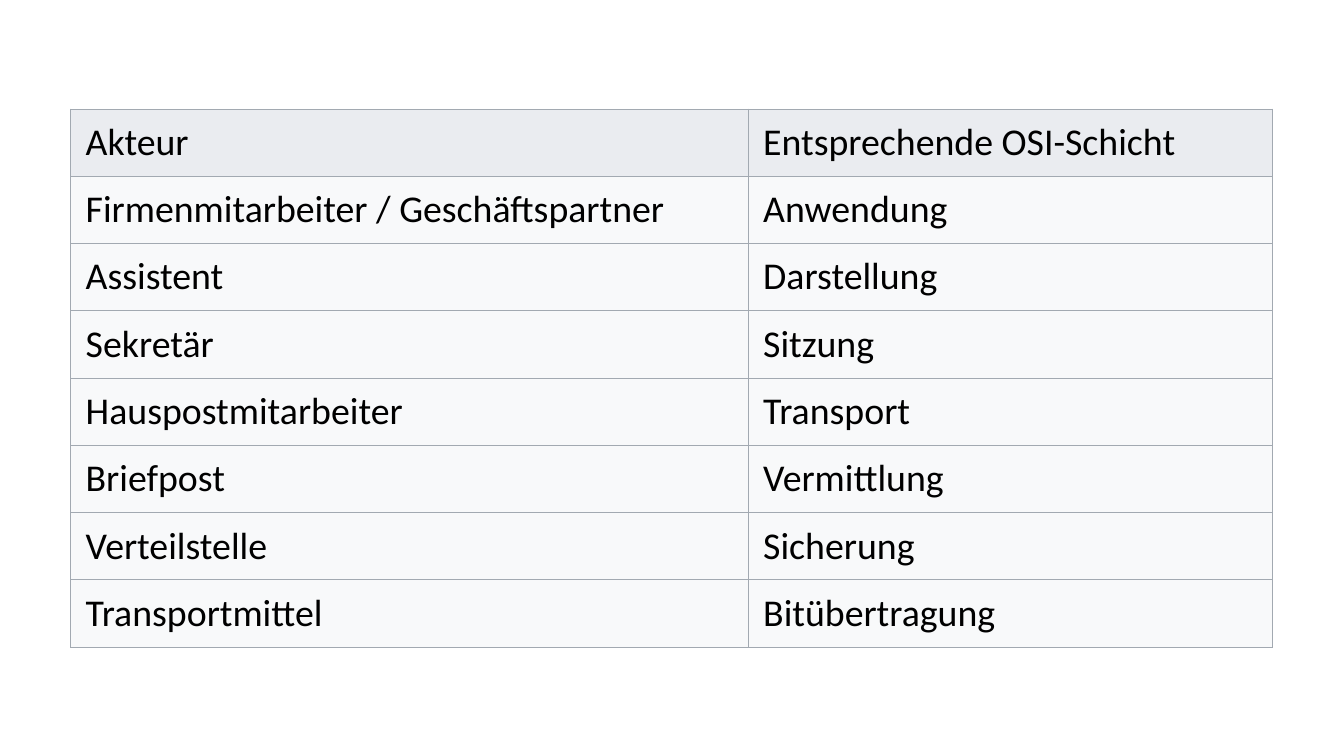
from dataclasses import dataclass

from lxml.etree import SubElement
from pptx import Presentation
from pptx.dml.color import RGBColor
from pptx.enum.text import MSO_ANCHOR as Anchor
from pptx.oxml.ns import qn
from pptx.slide import Slide
from pptx.table import _Cell as Cell
from pptx.util import Inches, Pt

COLORS = {"text": "000000", "header": "EAECF0", "body": "F8F9FA", "border": "A2A9B1"}
FONT = "Calibri"
SLIDE_WIDTH, SLIDE_HEIGHT = 13.33, 7.5
TABLE_LEFT, TABLE_TOP = 0.7, 1.08
TABLE_HEIGHT = 5.34
COLUMN_WIDTHS = (6.72, 5.2)
INSET_X, INSET_Y = 0.15, 0.08
BORDER_WIDTH = 0.5


@dataclass(frozen=True)
class LayerMatch:
    actor: str
    osi_layer: str


MATCHES = (
    LayerMatch("Akteur", "Entsprechende OSI-Schicht"),
    LayerMatch("Firmenmitarbeiter / Geschäftspartner", "Anwendung"),
    LayerMatch("Assistent", "Darstellung"),
    LayerMatch("Sekretär", "Sitzung"),
    LayerMatch("Hauspostmitarbeiter", "Transport"),
    LayerMatch("Briefpost", "Vermittlung"),
    LayerMatch("Verteilstelle", "Sicherung"),
    LayerMatch("Transportmittel", "Bitübertragung"),
)


def write_text(cell: Cell, text: str, *, size: float = 27, color: str = "text",
               bold: bool = False) -> None:
    run = cell.text_frame.paragraphs[0].add_run()
    run.text = text
    run.font.name = FONT
    run.font.size = Pt(size)
    run.font.bold = bold
    run.font.color.rgb = RGBColor.from_string(COLORS[color])


def draw_borders(cell: Cell) -> None:
    properties = cell._tc.get_or_add_tcPr()
    for side in ("lnL", "lnR", "lnT", "lnB"):
        line = SubElement(properties, qn(f"a:{side}"), w=str(Pt(BORDER_WIDTH)))
        fill = SubElement(line, qn("a:solidFill"))
        SubElement(fill, qn("a:srgbClr"), val=COLORS["border"])


def draw_cell(cell: Cell, text: str, fill: str) -> None:
    cell.margin_left = cell.margin_right = Inches(INSET_X)
    cell.margin_top = cell.margin_bottom = Inches(INSET_Y)
    cell.vertical_anchor = Anchor.MIDDLE
    draw_borders(cell)
    cell.fill.solid()
    cell.fill.fore_color.rgb = RGBColor.from_string(COLORS[fill])
    write_text(cell, text)


def draw_layer_table(slide: Slide, matches: tuple[LayerMatch, ...]) -> None:
    layer_table = slide.shapes.add_table(
        len(matches), len(COLUMN_WIDTHS), Inches(TABLE_LEFT), Inches(TABLE_TOP),
        Inches(sum(COLUMN_WIDTHS)), Inches(TABLE_HEIGHT),
    ).table
    layer_table.first_row = layer_table.horz_banding = False
    for column, width in zip(layer_table.columns, COLUMN_WIDTHS):
        column.width = Inches(width)
    for row, match in enumerate(matches):
        fill = "body" if row else "header"
        for column, text in enumerate((match.actor, match.osi_layer)):
            draw_cell(layer_table.cell(row, column), text, fill)


def main() -> None:
    presentation = Presentation()
    presentation.slide_width = Inches(SLIDE_WIDTH)
    presentation.slide_height = Inches(SLIDE_HEIGHT)
    blank_layout = presentation.slide_layouts.get_by_name("Blank")
    slide = presentation.slides.add_slide(blank_layout)
    draw_layer_table(slide, MATCHES)
    presentation.save("out.pptx")


if __name__ == "__main__":
    main()
